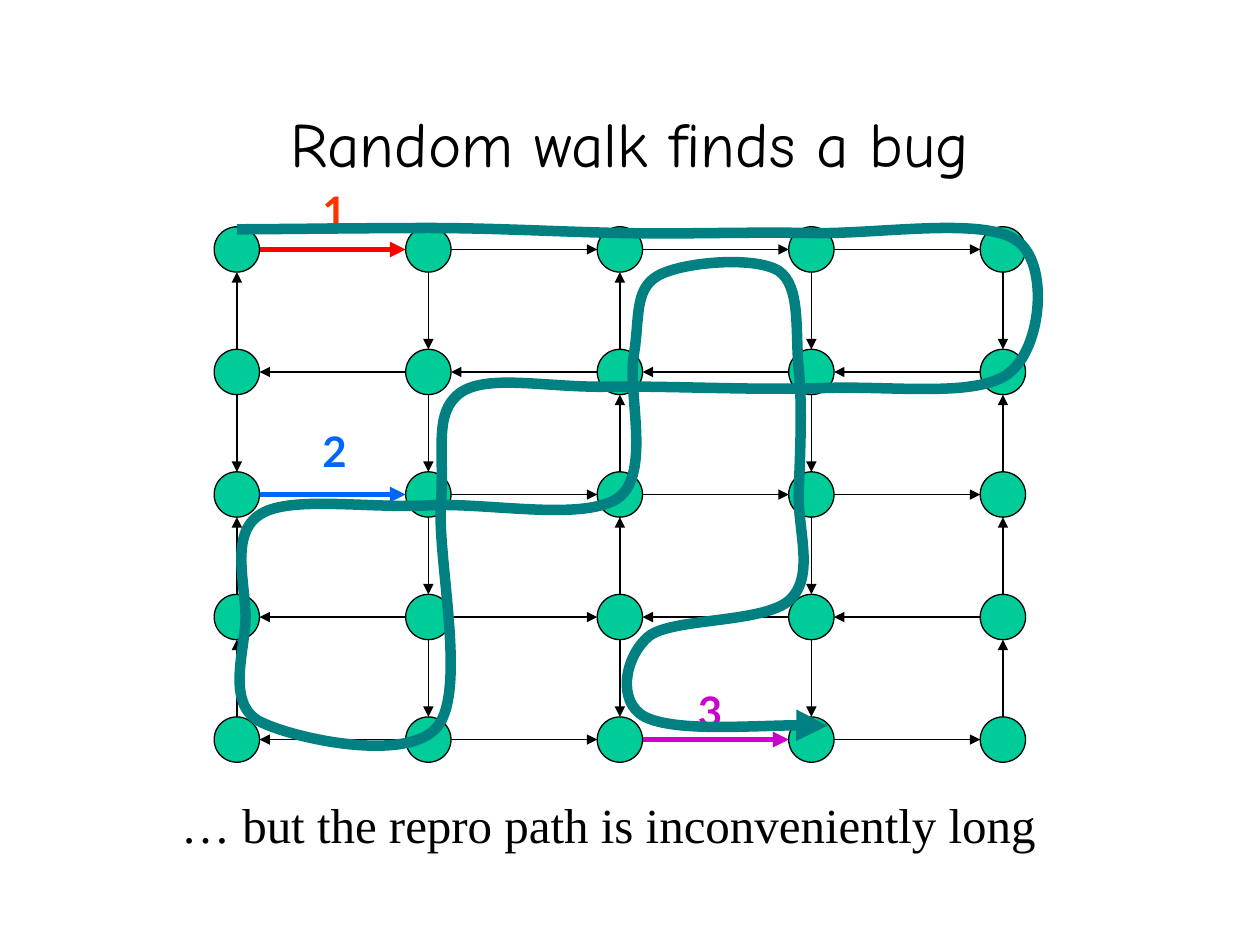
from lxml.etree import SubElement
from pptx import Presentation
from pptx.dml.color import RGBColor
from pptx.enum.shapes import MSO_CONNECTOR, MSO_SHAPE
from pptx.enum.text import MSO_ANCHOR, MSO_AUTO_SIZE, PP_ALIGN
from pptx.oxml.ns import qn
from pptx.util import Inches, Pt

BLACK = RGBColor(0x00, 0x00, 0x00)
GREEN = RGBColor(0x00, 0xCC, 0x99)
TEAL = RGBColor(0x00, 0x80, 0x80)
RED = RGBColor(0xFF, 0x00, 0x00)
ORANGE = RGBColor(0xFF, 0x33, 0x00)
BLUE = RGBColor(0x00, 0x66, 0xFF)
PURPLE = RGBColor(0xCC, 0x00, 0xCC)

GRID_SIZE = 5
LEFT, TOP = 1.88, 1.98
COLUMN_STEP, ROW_STEP = 1.52, 3.89 / 4
RADIUS = 0.18

ROW_DIRECTIONS = ["RRRR", "LLLL", "RRRR", "LRLL", "LRRR"]
COLUMN_DIRECTIONS = ["UDUU", "DDDD", "UUUD", "DDDD", "DUUU"]
BUG_EDGES = {(0, 0): RED, (0, 2): BLUE, (2, 4): PURPLE}
BUG_LABELS = [("1", 2.46, 1.42, ORANGE), ("3", 5.44, 5.39, PURPLE), ("2", 2.46, 3.33, BLUE)]

WALK_START = (1.88, 1.82)
WALK_CURVES = [
    [(2.13, 1.82), (2.9, 1.81), (3.41, 1.81)],
    [(3.91, 1.81), (4.43, 1.84), (4.93, 1.85)],
    [(5.44, 1.86), (5.92, 1.84), (6.45, 1.85)],
    [(6.97, 1.86), (7.81, 1.72), (8.07, 1.91)],
    [(8.33, 2.09), (8.27, 2.76), (8.01, 2.96)],
    [(7.76, 3.16), (7.08, 3.06), (6.54, 3.08)],
    [(6, 3.1), (5.26, 3.06), (4.78, 3.07)],
    [(4.3, 3.07), (3.86, 2.97), (3.65, 3.12)],
    [(3.44, 3.28), (3.53, 3.56), (3.5, 4)],
    [(3.47, 4.44), (3.71, 5.48), (3.47, 5.77)],
    [(3.23, 6.06), (2.31, 5.86), (2.05, 5.72)],
    [(1.8, 5.57), (1.94, 5.18), (1.95, 4.91)],
    [(1.95, 4.63), (1.82, 4.23), (2.07, 4.08)],
    [(2.31, 3.93), (2.94, 4.04), (3.42, 4.01)],
    [(3.89, 3.99), (4.64, 4.14), (4.91, 3.95)],
    [(5.17, 3.75), (4.98, 3.12), (5.03, 2.82)],
    [(5.08, 2.53), (5.03, 2.3), (5.22, 2.19)],
    [(5.41, 2.08), (5.99, 2.03), (6.18, 2.15)],
    [(6.36, 2.27), (6.31, 2.64), (6.34, 2.93)],
    [(6.37, 3.23), (6.35, 3.6), (6.34, 3.91)],
    [(6.33, 4.21), (6.47, 4.57), (6.27, 4.76)],
    [(6.07, 4.95), (5.34, 4.9), (5.15, 5.05)],
    [(4.96, 5.21), (4.89, 5.57), (5.12, 5.69)],
    [(5.36, 5.81), (6.27, 5.74), (6.57, 5.76)],
]


def centre(column, row):
    """Return the centre of a grid node in inches."""
    return LEFT + column * COLUMN_STEP, TOP + row * ROW_STEP


def style_arrow(shape, color, width):
    """Colour a line and give its end a triangle."""
    shape.line.color.rgb = color
    shape.line.width = Pt(width)
    outline = shape._element.spPr.find(qn("a:ln"))
    SubElement(outline, qn("a:tailEnd"), type="triangle")


def add_node(slide, column, row):
    """Add one state of the graph."""
    x, y = centre(column, row)
    node = slide.shapes.add_shape(
        MSO_SHAPE.OVAL, Inches(x - RADIUS), Inches(y - RADIUS), Inches(2 * RADIUS), Inches(2 * RADIUS))
    node.shadow.inherit = False
    node.fill.solid()
    node.fill.fore_color.rgb = GREEN
    node.line.color.rgb = BLACK
    node.line.width = Pt(0.75)


def add_edge(slide, start, end, color=BLACK, width=0.75):
    """Add an arrow between the rims of two neighbouring nodes."""
    (x1, y1), (x2, y2) = centre(*start), centre(*end)
    dx = (end[0] - start[0]) * RADIUS
    dy = (end[1] - start[1]) * RADIUS
    edge = slide.shapes.add_connector(
        MSO_CONNECTOR.STRAIGHT, Inches(x1 + dx), Inches(y1 + dy), Inches(x2 - dx), Inches(y2 - dy))
    style_arrow(edge, color, width)
    SubElement(edge._element.spPr, qn("a:effectLst"))


def add_graph(slide):
    """Add all nodes and directed edges of the grid."""
    for line in range(GRID_SIZE):
        for place in range(GRID_SIZE):
            add_node(slide, place, line)
        for gap in range(GRID_SIZE - 1):
            across = [(gap, line), (gap + 1, line)]
            down = [(line, gap), (line, gap + 1)]
            color = BUG_EDGES.get((gap, line), BLACK)
            width = 0.75 if color == BLACK else 3
            add_edge(slide, *across[::1 if ROW_DIRECTIONS[line][gap] == "R" else -1], color, width)
            add_edge(slide, *down[::1 if COLUMN_DIRECTIONS[line][gap] == "D" else -1])


def add_walk(slide):
    """Add the random walk as one curved arrow."""
    builder = slide.shapes.build_freeform(*map(Inches, WALK_START), scale=1.0)
    points = [(Inches(x), Inches(y)) for curve in WALK_CURVES for x, y in curve]
    builder.add_line_segments(points, close=False)
    walk = builder.convert_to_shape()
    walk.shadow.inherit = False
    walk.fill.background()
    style_arrow(walk, TEAL, 6)
    outline = next(walk._element.iter(qn("a:path")))
    segments = outline.findall(qn("a:lnTo"))
    for first in range(0, len(segments), 3):
        curve = SubElement(outline, qn("a:cubicBezTo"))
        for segment in segments[first:first + 3]:
            curve.append(segment[0])
            outline.remove(segment)


def write(box, text, font, size, color, bold=False):
    """Write one formatted run in a box."""
    span = box.text_frame.paragraphs[0].add_run()
    span.text = text
    span.font.name = font
    span.font.size = Pt(size)
    span.font.color.rgb = color
    span.font.bold = bold


def add_label(slide, text, left, top, color):
    """Add the number of a bug."""
    box = slide.shapes.add_textbox(Inches(left), Inches(top), Inches(0.39), Inches(0.5))
    box.text_frame.word_wrap = False
    box.text_frame.auto_size = MSO_AUTO_SIZE.SHAPE_TO_FIT_TEXT
    write(box, text, "Lato", 24, color, True)


def set_heading(box, text, font, size):
    """Centre a line of text in a heading box."""
    frame = box.text_frame
    frame.word_wrap = True
    frame.auto_size = MSO_AUTO_SIZE.NONE
    frame.vertical_anchor = MSO_ANCHOR.MIDDLE
    frame.paragraphs[0].alignment = PP_ALIGN.CENTER
    write(box, text, font, size, BLACK)


def main():
    """Build the slide and save the deck."""
    deck = Presentation()
    deck.slide_width, deck.slide_height = Inches(10), Inches(7.5)
    slide = deck.slides.add_slide(deck.slide_layouts[5])
    title = slide.shapes.title
    title.left, title.top = Inches(0.75), Inches(0.67)
    title.width, title.height = Inches(8.5), Inches(0.92)
    set_heading(title, "Random walk finds a bug", "Comic Neue", 36)
    add_graph(slide)
    for label in BUG_LABELS:
        add_label(slide, *label)
    add_walk(slide)
    caption = slide.shapes.add_textbox(Inches(0.58), Inches(6.08), Inches(8.5), Inches(0.92))
    set_heading(caption, "… but the repro path is inconveniently long", "Times New Roman", 28)
    deck.save("out.pptx")


if __name__ == "__main__":
    main()
